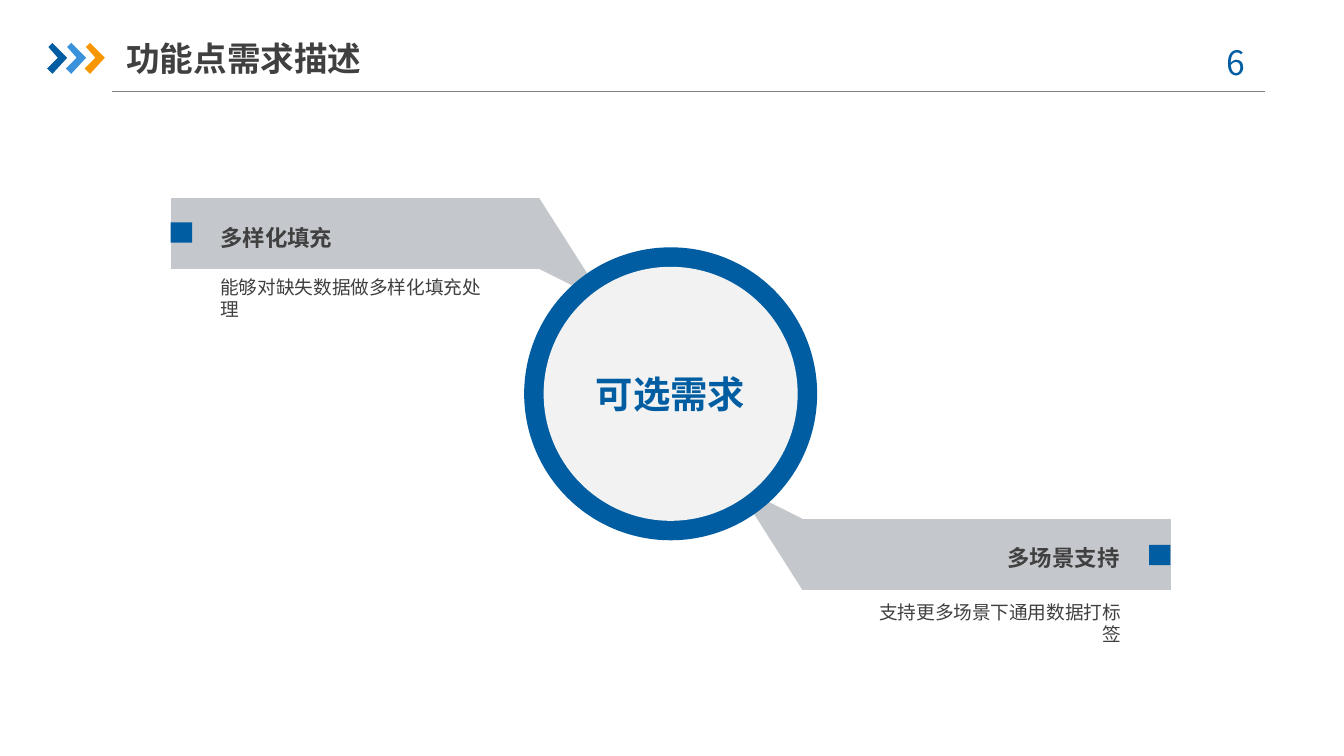
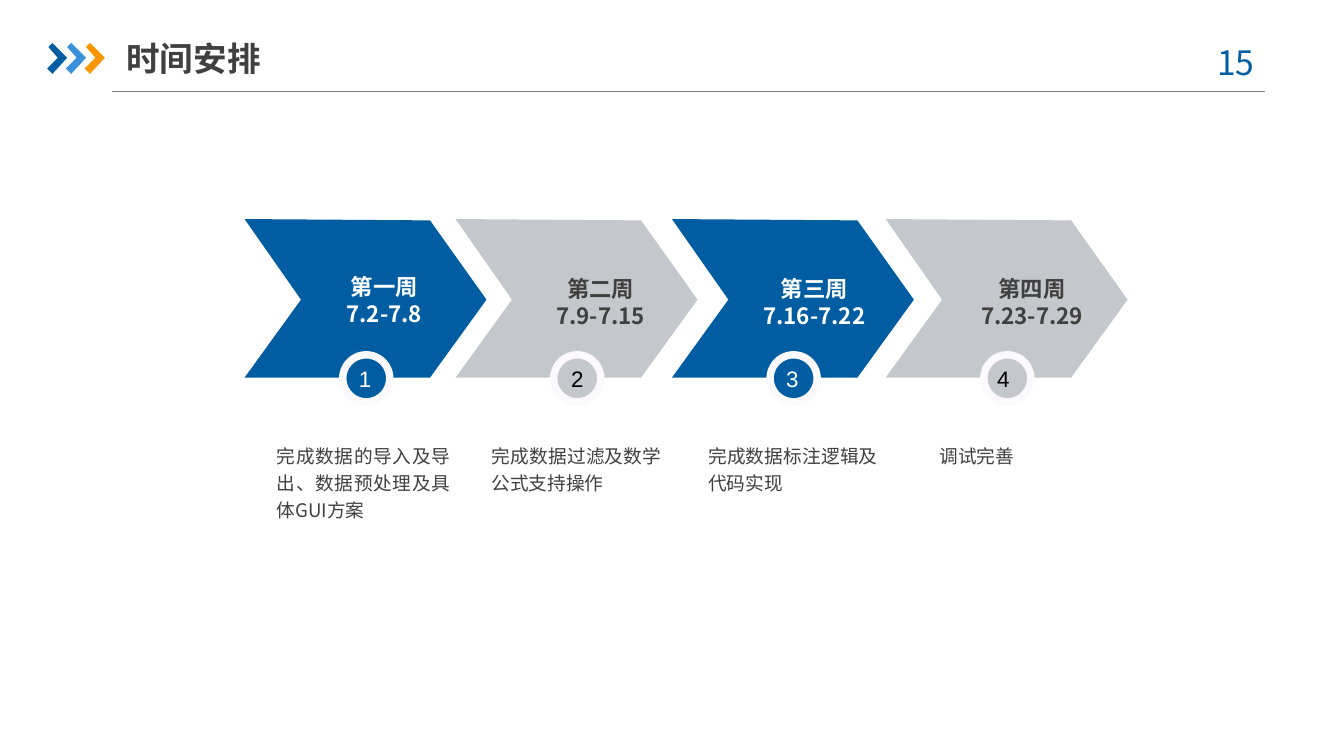
from dataclasses import dataclass

from lxml.etree import SubElement
from pptx import Presentation
from pptx.dml.color import RGBColor
from pptx.enum.shapes import MSO_CONNECTOR, MSO_SHAPE as SHAPE
from pptx.enum.text import MSO_ANCHOR as ANCHOR, MSO_AUTO_SIZE as AUTO_SIZE, PP_ALIGN as ALIGN
from pptx.oxml.ns import qn
from pptx.util import Inches, Pt

BLUE = RGBColor(0x00, 0x5D, 0xA2)
SKY = RGBColor(0x39, 0x92, 0xDB)
ORANGE = RGBColor(0xF7, 0x96, 0x00)
SILVER = RGBColor(0xC4, 0xC7, 0xCB)
PALE = RGBColor(0xF2, 0xF2, 0xF2)
HALO = RGBColor(0xFB, 0xF9, 0xFC)
RULE = RGBColor(0x80, 0x80, 0x80)
INK = RGBColor(0x40, 0x40, 0x40)
WHITE = RGBColor(0xFF, 0xFF, 0xFF)
BLACK = RGBColor(0x00, 0x00, 0x00)

CJK_FONT = "Noto Sans CJK SC"
DIGIT_FONT = "Arial"


def paint(shape, fill, line=None, weight=0):
    """Give a shape a flat fill, an optional outline and no shadow."""
    shape.shadow.inherit = False
    shape.fill.solid()
    shape.fill.fore_color.rgb = fill
    if line is None:
        shape.line.fill.background()
    else:
        shape.line.color.rgb = line
        shape.line.width = Pt(weight)
    return shape


def add_preset(slide, kind, box, fill, **outline):
    """Place a preset shape in a box given in inches."""
    return paint(slide.shapes.add_shape(kind, *map(Inches, box)), fill, **outline)


def add_polygon(slide, points, fill):
    """Draw a closed polygon through points given in inches."""
    start, *rest = [(Inches(x), Inches(y)) for x, y in points]
    builder = slide.shapes.build_freeform(*start, scale=1.0)
    builder.add_line_segments(rest, close=True)
    return paint(builder.convert_to_shape(), fill)


def write(shape, text, size, color, font=CJK_FONT, bold=False, align=ALIGN.LEFT,
          anchor=ANCHOR.TOP, insets=(0, 0.05), before=None, spacing=None, grow=False):
    """Fill a shape with text, one paragraph per line."""
    frame = shape.text_frame
    frame.word_wrap = True
    frame.auto_size = AUTO_SIZE.SHAPE_TO_FIT_TEXT if grow else AUTO_SIZE.NONE
    frame.vertical_anchor = anchor
    frame.margin_left = frame.margin_right = Inches(insets[0])
    frame.margin_top = frame.margin_bottom = Inches(insets[1])
    frame.text = text
    for paragraph in frame.paragraphs:
        paragraph.alignment = align
        paragraph.space_before = before
        paragraph.line_spacing = spacing
        paragraph.font.size = Pt(size)
        paragraph.font.bold = bold
        paragraph.font.color.rgb = color
        paragraph.font.name = font
        defaults = paragraph._p.pPr.find(qn("a:defRPr"))
        SubElement(defaults, qn("a:ea")).set("typeface", font)


def add_text(slide, box, text, size, color, **style):
    """Place a text box given in inches."""
    write(slide.shapes.add_textbox(*map(Inches, box)), text, size, color, **style)


def add_header(slide, title, number):
    """Draw the rule, the triple arrow, the page number and the title."""
    rule = slide.shapes.add_connector(
        MSO_CONNECTOR.STRAIGHT, Inches(0.83), Inches(0.68), Inches(9.41), Inches(0.68))
    rule.line.color.rgb = RULE
    rule.line.width = Pt(0.75)
    SubElement(rule._element.spPr, qn("a:effectLst"))

    arrow = [(0.01, 0.03), (0.04, 0), (0.15, 0.11), (0.04, 0.23), (0, 0.19), (0.08, 0.11)]
    for index, color in enumerate((BLUE, SKY, ORANGE)):
        left = 0.35 + 0.14 * index
        add_polygon(slide, [(left + x, 0.32 + y) for x, y in arrow], color)

    add_text(slide, (8.86, 0.26, 0.73, 0.4), f"{number} ", 18, BLUE,
             align=ALIGN.CENTER, insets=(0.1, 0.05), grow=True)
    add_text(slide, (0.94, 0.22, 2.33, 0.42), title, 18, INK, bold=True, anchor=ANCHOR.MIDDLE)


def add_banner(slide, center, flipped):
    """Draw a banner pointing at the center; flipped turns it half a circle."""
    cx, cy = center
    sign = -1 if flipped else 1
    bar = [(-3.72, -1.46), (-3.72, -0.93), (-0.98, -0.93), (-0.98, -1.46)]
    pointer = [(-0.98, -1.46), (-0.56, -0.8), (-0.62, -0.75), (-0.98, -0.93)]
    for part in (bar, pointer):
        add_polygon(slide, [(cx + sign * x, cy + sign * y) for x, y in part], SILVER)
    width, height = 0.16, 0.15
    mark_x, mark_y = cx - sign * 3.64, cy - sign * 1.2
    add_preset(slide, SHAPE.RECTANGLE,
               (mark_x - width / 2, mark_y - height / 2, width, height), BLUE)


def add_requirement(slide, heading_box, heading, detail_box, detail, align):
    """Write the heading on a banner and the detail below it."""
    add_text(slide, heading_box, heading, 12, INK, bold=True, align=align, before=Pt(2.4))
    add_text(slide, detail_box, detail, 10, INK, align=align, anchor=ANCHOR.MIDDLE,
             before=Pt(2))


def add_hub(slide, center, label):
    """Draw the ringed disc with its label."""
    cx, cy = center
    for diameter, color in ((2.18, BLUE), (1.89, PALE)):
        box = (cx - diameter / 2, cy - diameter / 2, diameter, diameter)
        disc = add_preset(slide, SHAPE.OVAL, box, color)
    write(disc, label, 20, BLUE, bold=True, align=ALIGN.CENTER, anchor=ANCHOR.MIDDLE,
          insets=(0.1, 0.05))


@dataclass
class Week:
    """One week of the schedule, with offsets from the left of its arrow."""
    left: float
    label: str
    label_center: float
    label_middle: float
    digit_offset: float
    note: str
    note_offset: float
    note_size: tuple


def add_week(slide, week, number, top):
    """Draw one arrow with its label, numbered disc and note."""
    odd = number % 2 == 1
    color = BLUE if odd else SILVER
    outline = [(0, 0), (0.42, 0.6), (0, 1.18), (1.38, 1.18), (1.8, 0.6), (1.38, 0.01)]
    add_polygon(slide, [(week.left + x, top + y) for x, y in outline], color)
    add_text(slide, (week.left + week.label_center - 0.6, top + week.label_middle - 0.2, 1.2, 0.4),
             week.label, 12, WHITE if odd else INK, bold=True, align=ALIGN.CENTER,
             anchor=ANCHOR.MIDDLE, insets=(0, 0))
    add_preset(slide, SHAPE.OVAL, (week.left + 0.73, top + 1.01, 0.35, 0.35), color,
               line=HALO, weight=4)
    add_text(slide, (week.left + week.digit_offset, top + 1.09, 0.1, 0.2), str(number), 12,
             WHITE if odd else BLACK, font=DIGIT_FONT, anchor=ANCHOR.MIDDLE, insets=(0, 0))
    add_text(slide, (week.left + week.note_offset, top + 1.65, *week.note_size), week.note, 10,
             INK, align=ALIGN.JUSTIFY, insets=(0, 0), spacing=1.2, grow=True)


def build_requirements(slide):
    """Build the slide of optional requirements."""
    add_header(slide, "功能点需求描述", 6)
    center = (4.99, 2.93)
    for flipped in (False, True):
        add_banner(slide, center, flipped)
    add_requirement(slide, (1.64, 1.62, 2.14, 0.31), "多样化填充",
                    (1.64, 2.15, 1.94, 0.14), "能够对缺失数据做多样化填充处理", ALIGN.LEFT)
    add_requirement(slide, (6.19, 4, 2.14, 0.31), "多场景支持",
                    (6.5, 4.57, 1.84, 0.13), "支持更多场景下通用数据打标签", ALIGN.RIGHT)
    add_hub(slide, center, "可选需求")


def build_schedule(slide):
    """Build the slide of the four-week schedule."""
    add_header(slide, "时间安排", 15)
    weeks = [
        Week(1.82, "第一周\n7.2-7.8", 1.04, 0.6, 0.85,
             "完成数据的导入及导出、数据预处理及具体GUI方案", 0.24, (1.29, 0.61)),
        Week(3.39, "第二周\n7.9-7.15", 1.08, 0.62, 0.86,
             "完成数据过滤及数学公式支持操作", 0.27, (1.26, 0.4)),
        Week(5, "第三周\n7.16-7.22", 1.06, 0.62, 0.85,
             "完成数据标注逻辑及代码实现", 0.27, (1.26, 0.4)),
        Week(6.59, "第四周\n7.23-7.29", 1.09, 0.62, 0.83,
             "调试完善", 0.4, (1.29, 0.18)),
    ]
    for number, week in enumerate(weeks, start=1):
        add_week(slide, week, number, top=1.63)


deck = Presentation()
deck.slide_width = Inches(10)
deck.slide_height = deck.slide_width * 9 // 16
blank = deck.slide_layouts[6]
for build in (build_requirements, build_schedule):
    build(deck.slides.add_slide(blank))
deck.save("out.pptx")
